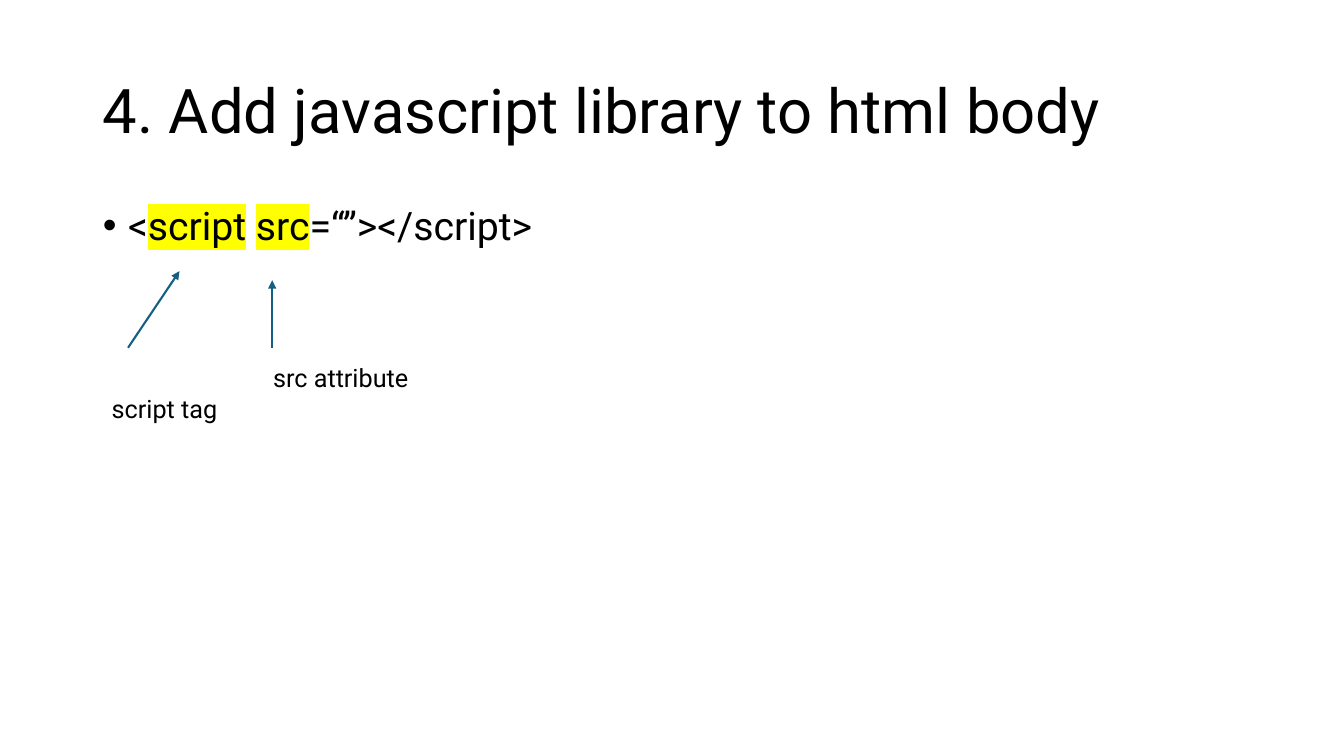
from dataclasses import dataclass

from lxml.etree import SubElement
from pptx import Presentation
from pptx.dml.color import RGBColor
from pptx.enum.shapes import MSO_CONNECTOR
from pptx.enum.text import MSO_ANCHOR, MSO_AUTO_SIZE, PP_ALIGN
from pptx.oxml.ns import qn
from pptx.util import Inches, Pt


@dataclass(frozen=True)
class Theme:
    font: str = "Roboto"
    text: str = "000000"
    arrow: str = "156082"
    highlight: str = "FFFF00"
    title_size: int = 44
    body_size: int = 28
    label_size: int = 18


theme = Theme()


def style(p, size):
    p.font.name = theme.font
    p.font.size = Pt(size)
    p.font.color.rgb = RGBColor.from_string(theme.text)


def place(sp, left, top, width, height):
    sp.left, sp.top = Inches(left), Inches(top)
    sp.width, sp.height = Inches(width), Inches(height)


prs = Presentation()
prs.slide_width, prs.slide_height = Inches(13.33), Inches(7.5)
s = prs.slides.add_slide(prs.slide_layouts[1])
title, body = s.placeholders

# Title
place(title, 0.92, 0.4, 11.5, 1.45)
tf = title.text_frame
tf.text = "4. Add javascript library to html body"
tf.vertical_anchor = MSO_ANCHOR.MIDDLE
p = tf.paragraphs[0]
p.alignment = PP_ALIGN.LEFT
p.line_spacing = 0.9
style(p, theme.title_size)

# Code bullet with highlighted words
place(body, 0.92, 2, 11.5, 4.76)
p = body.text_frame.paragraphs[0]
p.line_spacing = 0.9
p.space_before = Pt(10)
style(p, theme.body_size)
pPr = p._p.get_or_add_pPr()
pPr.set("marL", str(Inches(0.25)))
pPr.set("indent", str(Inches(-0.25)))
for text, marked in [("<", False), ("script", True), (" ", False),
                     ("src", True), ("=“”></script>", False)]:
    r = p.add_run()
    r.text = text
    if marked:
        hl = SubElement(r._r.get_or_add_rPr(), qn("a:highlight"))
        SubElement(hl, qn("a:srgbClr"), val=theme.highlight)

# Labels
for text, left, top, width in [("script tag", 1.01, 3.85, 1.6),
                               ("src attribute", 2.61, 3.55, 1.99)]:
    sp = s.shapes.add_textbox(Inches(left), Inches(top), Inches(width), Inches(0.4))
    tf = sp.text_frame
    tf.word_wrap = True
    tf.auto_size = MSO_AUTO_SIZE.SHAPE_TO_FIT_TEXT
    tf.text = text
    style(tf.paragraphs[0], theme.label_size)

# Arrows from the labels up to the code
for x1, x2, y2 in [(1.27, 1.78, 2.69), (2.7, 2.7, 2.78)]:
    arrow = s.shapes.add_connector(MSO_CONNECTOR.STRAIGHT, Inches(x1), Inches(3.45),
                                   Inches(x2), Inches(y2))
    arrow.line.color.rgb = RGBColor.from_string(theme.arrow)
    arrow.line.width = Pt(1.5)
    SubElement(arrow.line._get_or_add_ln(), qn("a:tailEnd"), type="triangle")
    SubElement(arrow._element.spPr, qn("a:effectLst"))

prs.save("out.pptx")
